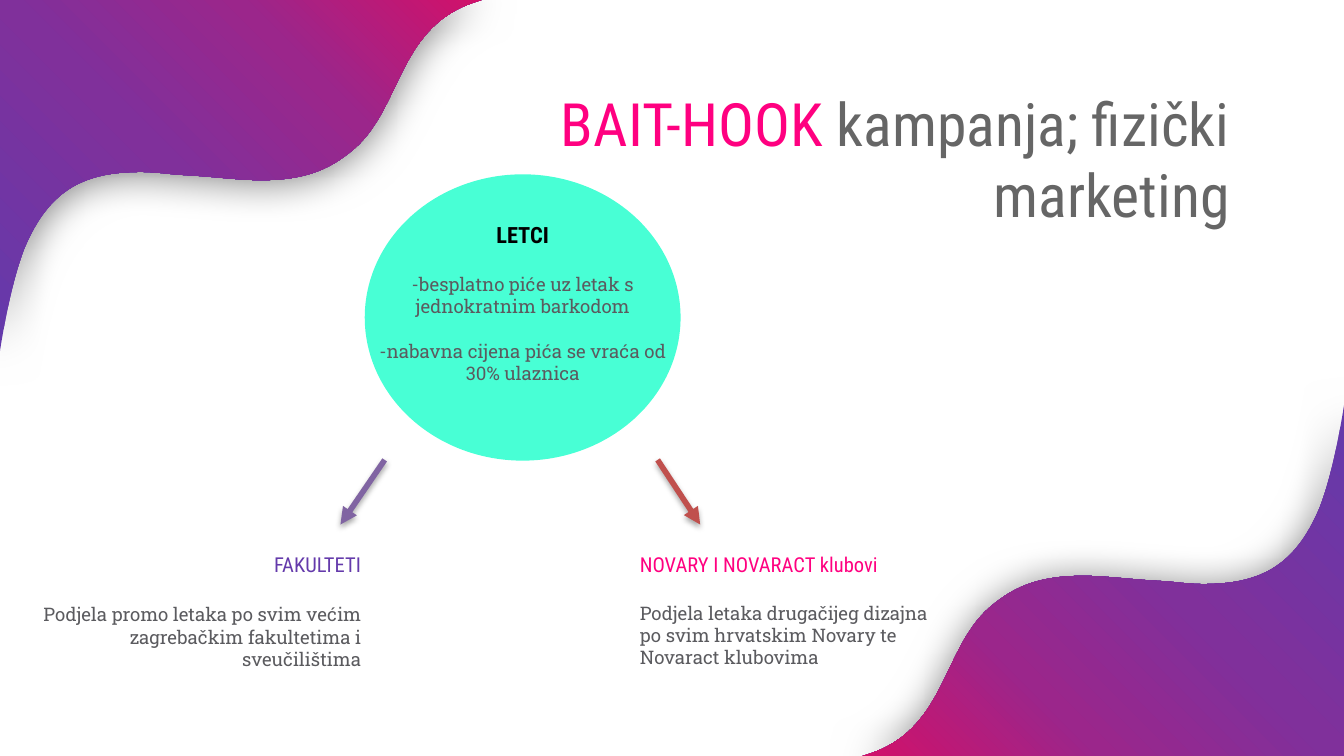
from lxml import etree
from pptx import Presentation
from pptx.dml.color import RGBColor
from pptx.enum.shapes import MSO_CONNECTOR, MSO_SHAPE
from pptx.enum.text import MSO_ANCHOR, PP_ALIGN as Align
from pptx.oxml import parse_xml
from pptx.oxml.ns import nsdecls, qn
from pptx.util import Pt

SLIDE_W, SLIDE_H = 720, 405
CORNER_W, CORNER_H = 257.8, 187.9
UNITS = 100  # outline units per point
CONDENSED, SLAB = "Roboto Condensed", "Roboto Slab"
PINK, PURPLE, TITLE_GREY, BODY_GREY = "FF0080", "643AAB", "666666", "5B5B5F"
GRADIENT = [(0, "643AAB"), (43, "80309B"), (71, "9B268B"), (100, "D1116A")]

# Wave edge of the bottom right corner: cubic curves, each starting where the last ends
WAVE_START = (257.8, 0)
WAVE = [
    ((254.9, 18.7), (250.6, 39.6), (244.8, 54.7)),
    ((231.1, 87.8), (211, 95.8), (182.2, 95.8)),
    ((176.4, 95.8), (169.2, 95), (162.7, 94.3)),
    ((145.4, 93.6), (131, 91.4), (118.1, 91.4)),
    ((100.8, 91.4), (85.7, 94.3), (72, 105.1)),
    ((41.8, 126.7), (46.8, 173.5), (2.2, 187.2)),
]


def color(hex_string):
    return RGBColor.from_string(hex_string)


def add_shadow(shape, alpha, blur, distance):
    """Give the shape a soft black shadow that falls straight down."""
    shape._element.spPr.append(parse_xml(
        f'<a:effectLst {nsdecls("a")}><a:outerShdw blurRad="{Pt(blur)}" dist="{Pt(distance)}" '
        f'dir="5400000" algn="ctr" rotWithShape="0"><a:srgbClr val="000000">'
        f'<a:alpha val="{alpha * 1000}"/></a:srgbClr></a:outerShdw></a:effectLst>'))


def fill_gradient(shape):
    stops = "".join(f'<a:gs pos="{pos * 1000}"><a:srgbClr val="{rgb}"/></a:gs>'
                    for pos, rgb in GRADIENT)
    shape._element.spPr.find(qn("a:custGeom")).addnext(parse_xml(
        f'<a:gradFill rotWithShape="1" {nsdecls("a")}><a:gsLst>{stops}</a:gsLst>'
        f'<a:lin ang="8100000" scaled="0"/></a:gradFill>'))


def to_units(point):
    return tuple(round(value * UNITS) for value in point)


def bend_edges(shape, curves):
    """Turn the first straight edges of a freeform into the given cubic curves."""
    edges = list(shape._element.iter(qn("a:lnTo")))
    for edge, curve in zip(edges, curves):
        points = "".join('<a:pt x="%d" y="%d"/>' % to_units(point) for point in curve)
        edge.getparent().replace(edge, parse_xml(
            f'<a:cubicBezTo {nsdecls("a")}>{points}</a:cubicBezTo>'))


def add_corner(slide, left, top, rotation):
    builder = slide.shapes.build_freeform(*to_units(WAVE_START), scale=Pt(1) / UNITS)
    vertices = [curve[-1] for curve in WAVE] + [(0, CORNER_H), (CORNER_W, CORNER_H)]
    builder.add_line_segments([to_units(vertex) for vertex in vertices])
    corner = builder.convert_to_shape()
    bend_edges(corner, WAVE)
    corner.left, corner.top = Pt(left), Pt(top)
    corner.rotation = rotation
    fill_gradient(corner)
    corner.line.fill.background()
    add_shadow(corner, 50, 21.4, 1.5)
    slide.shapes.title._element.addprevious(corner._element)


def set_frame(frame, top_inset=0):
    frame.word_wrap = True
    frame.vertical_anchor = MSO_ANCHOR.TOP
    frame.margin_left = frame.margin_right = frame.margin_bottom = 0
    frame.margin_top = Pt(top_inset)


def add_title(slide, left, top, width, height):
    title = slide.shapes.title
    title.left, title.top, title.width, title.height = map(Pt, (left, top, width, height))
    set_frame(title.text_frame)
    paragraph = title.text_frame.paragraphs[0]
    paragraph.alignment = Align.RIGHT
    paragraph.font.size, paragraph.font.name = Pt(32), CONDENSED
    for text, rgb in (("BAIT-HOOK ", PINK), ("kampanja; fizički marketing", TITLE_GREY)):
        run = paragraph.add_run()
        run.text = text
        run.font.color.rgb = color(rgb)


def add_text(slide, left, top, width, height, heading, heading_style, body, align, gaps):
    """Place a condensed heading over slab paragraphs, each with its gap above."""
    size, rgb, bold = heading_style
    frame = slide.shapes.add_textbox(*map(Pt, (left, top, width, height))).text_frame
    set_frame(frame, 0.7)
    rows = [(heading, CONDENSED, size, rgb, bold, 0)]
    rows += [(text, SLAB, 10, BODY_GREY, False, gap) for text, gap in zip(body, gaps)]
    for index, (text, font, size, rgb, bold, gap) in enumerate(rows):
        paragraph = frame.add_paragraph() if index else frame.paragraphs[0]
        paragraph.text = text
        paragraph.alignment = align
        paragraph.space_before = Pt(gap)
        paragraph.font.name, paragraph.font.size = font, Pt(size)
        paragraph.font.bold = bold
        paragraph.font.color.rgb = color(rgb)


def add_flyers(slide, left, top, width, height):
    circle = slide.shapes.add_shape(MSO_SHAPE.OVAL, *map(Pt, (left, top, width, height)))
    circle.shadow.inherit = False
    circle.fill.solid()
    circle.fill.fore_color.rgb = color("48FFD5")
    circle.line.fill.background()
    add_text(slide, left + 4.7, top + 24.3, width - 9.4, 61, "LETCI", (12, "000000", True),
             ["-besplatno piće uz letak s jednokratnim barkodom",
              "-nabavna cijena pića se vraća od 30% ulaznica"],
             Align.CENTER, (13.4, 11.7))


def add_arrow(slide, start, end, rgb):
    arrow = slide.shapes.add_connector(MSO_CONNECTOR.STRAIGHT, *map(Pt, start + end))
    arrow.line.color.rgb = color(rgb)
    arrow.line.width = Pt(3)
    etree.SubElement(arrow.line._get_or_add_ln(), qn("a:tailEnd"), type="triangle")
    add_shadow(arrow, 35, 3.1, 1.8)


def main():
    prs = Presentation()
    prs.slide_width, prs.slide_height = Pt(SLIDE_W), Pt(SLIDE_H)
    slide = prs.slides.add_slide(prs.slide_layouts[5])

    add_corner(slide, SLIDE_W - CORNER_W, SLIDE_H - CORNER_H, 0)
    add_corner(slide, 0, 0, 180)
    add_title(slide, 235.5, 46.3, 423.4, 94.3)
    add_text(slide, 342.8, 294.9, 156.2, 54, "NOVARY I NOVARACT klubovi", (11, PINK, False),
             ["Podjela letaka drugačijeg dizajna po svim hrvatskim Novary te Novaract klubovima"],
             Align.LEFT, (13.4,))
    add_text(slide, 17, 294.9, 176.4, 37.4, "FAKULTETI", (11, PURPLE, False),
             ["Podjela promo letaka po svim većim zagrebačkim fakultetima i sveučilištima"],
             Align.RIGHT, (14.4,))
    add_flyers(slide, 195.4, 93.4, 169.2, 153.4)
    add_arrow(slide, (206.1, 246.4), (182.4, 281), "8064A2")
    add_arrow(slide, (352.3, 246.4), (375.1, 281), "C0504D")

    prs.save("out.pptx")


if __name__ == "__main__":
    main()
